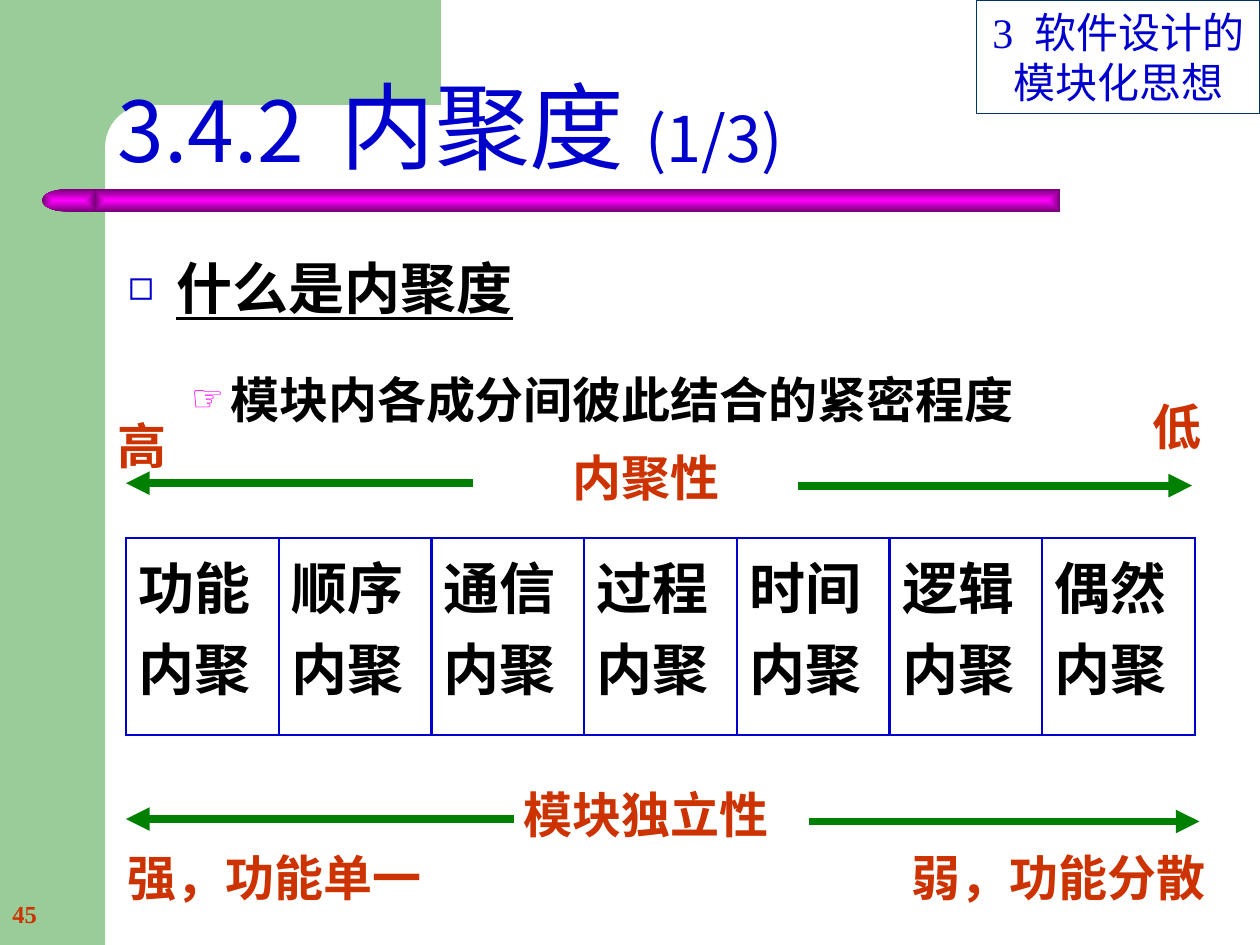
from lxml import etree
from pptx import Presentation
from pptx.dml.color import RGBColor
from pptx.enum.shapes import MSO_CONNECTOR, MSO_SHAPE
from pptx.enum.text import MSO_ANCHOR, MSO_AUTO_SIZE, PP_ALIGN
from pptx.oxml import parse_xml
from pptx.oxml.ns import nsdecls, qn
from pptx.util import Cm, Pt

RECT, ROUND, DELAY = (MSO_SHAPE.RECTANGLE, MSO_SHAPE.ROUNDED_RECTANGLE,
                      MSO_SHAPE.FLOWCHART_DELAY)
LEFT, CENTER, RIGHT = PP_ALIGN.LEFT, PP_ALIGN.CENTER, PP_ALIGN.RIGHT
STRAIGHT = MSO_CONNECTOR.STRAIGHT
COLORS = {"band": "99CC99", "white": "FFFFFF", "blue": "0000CC", "black": "000000",
          "magenta": "FF00FF", "plum": "760076", "navy": "003366",
          "red": "CC3300", "green": "008000"}
SANS, SERIF, CJK = "Arial", "Times New Roman", "Noto Sans CJK SC"

# Content: lengths in cm, text sizes in points
TITLE = [("3.4.2", 48, 0), (" ", 48, 10), ("内聚度 ", 54, 0), ("(1/3)", 36, 0)]
CHAPTER = [("3", 24, 0), (" ", 24, 6), ("软件设计的模块化思想", 24, 0)]
BODY = [  # text, size, underline, space before, left, hanging, bullet, bullet colour
    ("什么是内聚度", 32, True, 16, 0.97, 0.97, "◻", "blue"),
    ("模块内各成分间彼此结合的紧密程度", 28, False, 14, 2.06, 0.79, "☞", "magenta"),
]
KINDS = ["功能内聚", "顺序内聚", "通信内聚", "过程内聚", "时间内聚", "逻辑内聚", "偶然内聚"]
LABELS = [  # text, left, top, width, alignment
    ("内聚性", 10.37, 8.89, 5.29, CENTER),
    ("模块独立性", 9.95, 15.7, 6.14, CENTER),
    ("高", 2.12, 8.26, 1.91, LEFT),
    ("低", 22.99, 7.87, 1.55, LEFT),
    ("强，功能单一", 2.33, 16.97, 7.2, LEFT),
    ("弱，功能分散", 15.24, 16.97, 9.31, RIGHT),
]
ARROWS = [(9.53, 2.54, 9.74), (16.09, 24.03, 9.79),  # start, end, height
          (10.37, 2.54, 16.51), (16.3, 24.18, 16.56)]
PANELS = [(RECT, (0, 0, 2.12, 19.05), "band"), (RECT, (1.9, 0, 6.99, 2.96), "band"),
          (ROUND, (2.12, 2.12, 14.18, 1.69), "white")]
BARS = [(RECT, (1.9, 3.81, 19.47, 0.46)), (DELAY, (0.85, 3.81, 1.08, 0.46))]


def rgb(name):
    return RGBColor.from_string(COLORS[name])


def style(span, size, font, color, bold=False):
    span.font.size, span.font.name, span.font.bold = Pt(size), font, bold
    span.font.color.rgb = rgb(color)
    etree.SubElement(span.font._element, qn("a:ea")).set("typeface", CJK)


def add_spans(para, pieces, font, color):
    for text, size, tracking in pieces:
        span = para.add_run()
        span.text = text
        style(span, size, font, color)
        if tracking:
            span.font._element.set("spc", str(tracking * 100))


def place(box, left, top, width, height):
    box.left, box.top, box.width, box.height = map(Cm, (left, top, width, height))


def add_panel(kind, frame):
    panel = page.shapes.add_shape(kind, *map(Cm, frame))
    panel.shadow.inherit = False
    panel.line.fill.background()
    return panel


def add_text(text, frame, size, align=LEFT):
    box = page.shapes.add_textbox(*map(Cm, frame))
    box.text_frame.word_wrap = True
    box.text_frame.text = text
    para = box.text_frame.paragraphs[0]
    para.alignment = align
    style(para.runs[0], size, SERIF, "red", True)
    return box.text_frame


def shade(panel):
    """Gradient running from the centre of the shape to its edges."""
    properties = panel.element.spPr
    panel.fill.background()
    stops = "".join(f'<a:gs pos="{pos}"><a:srgbClr val="{COLORS[name]}"/></a:gs>'
                    for pos, name in ((0, "magenta"), (100000, "plum")))
    gradient = parse_xml(
        f'<a:gradFill {nsdecls("a")}><a:gsLst>{stops}</a:gsLst><a:path path="rect">'
        '<a:fillToRect l="50000" t="50000" r="50000" b="50000"/></a:path></a:gradFill>')
    properties.replace(properties.find(qn("a:noFill")), gradient)


def add_bullet(para, left, hanging, symbol, color):
    properties = para._p.get_or_add_pPr()
    properties.set("marL", str(Cm(left)))
    properties.set("indent", str(-Cm(hanging)))
    tint = etree.SubElement(properties, qn("a:buClr"))
    etree.SubElement(tint, qn("a:srgbClr")).set("val", COLORS[color])
    etree.SubElement(properties, qn("a:buSzPct")).set("val", "75000")
    etree.SubElement(properties, qn("a:buChar")).set("char", symbol)


def add_borders(cell):
    properties = cell._tc.get_or_add_tcPr()
    for index, side in enumerate("LRTB"):
        properties.insert(index, parse_xml(
            f'<a:ln{side} {nsdecls("a")} w="{Pt(1.47)}"><a:solidFill>'
            f'<a:srgbClr val="{COLORS["blue"]}"/></a:solidFill></a:ln{side}>'))


deck = Presentation()
deck.slide_width, deck.slide_height = Cm(25.4), Cm(19.05)
page = deck.slides.add_slide(deck.slide_layouts[1])
title, body = page.placeholders

# Background panels and shaded rule
for kind, frame, color in PANELS:
    panel = add_panel(kind, frame)
    panel.fill.solid()
    panel.fill.fore_color.rgb = rgb(color)
    if kind == ROUND:
        panel.adjustments[0] = 0.5
for kind, frame in BARS:
    bar = add_panel(kind, frame)
    shade(bar)
    if kind == DELAY:
        bar.element.spPr.find(qn("a:xfrm")).set("flipH", "1")

# Page number
add_text("45", (0, 17.78, 5.29, 1.27), 14).vertical_anchor = MSO_ANCHOR.MIDDLE

# Title and list, brought in front of the panels
for holder in (title, body):
    page.shapes.element.append(holder.element)
    holder.text_frame.auto_size = MSO_AUTO_SIZE.NONE
place(title, 2.12, 0.64, 22.23, 3.17)
title.text_frame.vertical_anchor = MSO_ANCHOR.BOTTOM
heading = title.text_frame.paragraphs[0]
heading.alignment, heading.line_spacing = LEFT, 0.9
add_spans(heading, TITLE, CJK, "blue")

place(body, 2.33, 4.45, 21.38, 4.65)
body.text_frame.text = "\n".join(item[0] for item in BODY)
for level, (para, item) in enumerate(zip(body.text_frame.paragraphs, BODY)):
    _, size, underline, before, *bullet = item
    para.level, para.line_spacing, para.space_before = level, 1.4, Pt(before)
    add_bullet(para, *bullet)
    style(para.runs[0], size, SANS, "black", True)
    para.runs[0].font.underline = underline

# Chapter box in the corner
chapter = add_panel(RECT, (19.69, 0, 5.71, 2.29))
chapter.fill.background()
chapter.line.color.rgb, chapter.line.width = rgb("navy"), Pt(0.75)
chapter.text_frame.word_wrap = True
chapter.text_frame.paragraphs[0].alignment = CENTER
add_spans(chapter.text_frame.paragraphs[0], CHAPTER, SERIF, "blue")

# Table of cohesion kinds
table = page.shapes.add_table(1, len(KINDS), Cm(2.54), Cm(10.85), Cm(21.55), Cm(3.96)).table
table.first_row = table.horz_banding = False
for cell, kind in zip(table.rows[0].cells, KINDS):
    cell.text = kind
    cell.fill.background()
    add_borders(cell)
    para = cell.text_frame.paragraphs[0]
    para.space_before = Pt(8)
    style(para.runs[0], 32, SANS, "black", True)

# Scale labels and arrows
for text, left, top, width, align in LABELS:
    frame = add_text(text, (left, top, width, 1.45), 28, align)
    frame.auto_size = MSO_AUTO_SIZE.SHAPE_TO_FIT_TEXT
for start, end, height in ARROWS:
    arrow = page.shapes.add_connector(STRAIGHT, Cm(start), Cm(height), Cm(end), Cm(height))
    arrow.line.color.rgb, arrow.line.width = rgb("green"), Pt(4.5)
    etree.SubElement(arrow.line._get_or_add_ln(), qn("a:tailEnd")).set("type", "triangle")
    etree.SubElement(arrow.element.spPr, qn("a:effectLst"))

deck.save("out.pptx")
